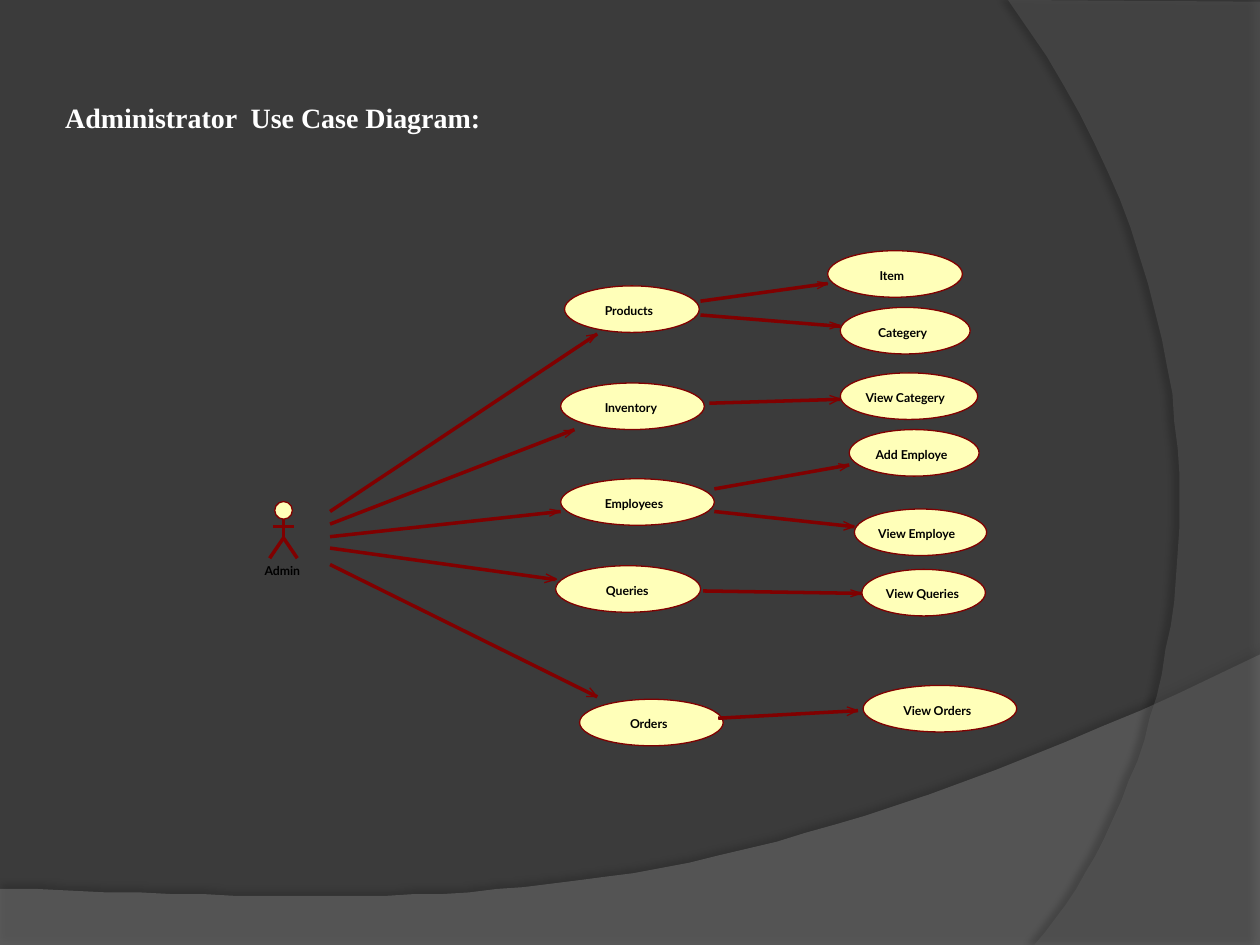
"""Build the administrator use case diagram slide."""
from math import atan2, cos, sin

from lxml.etree import SubElement
from pptx import Presentation
from pptx.dml.color import RGBColor
from pptx.enum.shapes import MSO_CONNECTOR, MSO_SHAPE
from pptx.enum.text import MSO_ANCHOR, MSO_AUTO_SIZE
from pptx.oxml.ns import qn
from pptx.util import Pt

BACKGROUND = RGBColor(0x3B, 0x3B, 0x3B)
WAVE_GREY = RGBColor(0x7F, 0x7F, 0x7F)
SIDE_GREY = RGBColor(0x5E, 0x5E, 0x5E)
CREAM = RGBColor(0xFF, 0xFF, 0xB9)
MAROON = RGBColor(0x80, 0x00, 0x00)
BLACK = RGBColor(0x00, 0x00, 0x00)
WHITE = RGBColor(0xFF, 0xFF, 0xFF)
CASE_HEIGHT = 26.6
LABEL_OFFSET = 9.9
LABEL_HEIGHT = 19.4
HEAD_LENGTH = 6.2
HEAD_HALF_WIDTH = 2.3
CURVE_STEPS = 40

presentation = Presentation()
presentation.slide_width = Pt(720)
presentation.slide_height = Pt(540)
slide = presentation.slides.add_slide(presentation.slide_layouts[6])
slide.background.fill.solid()
slide.background.fill.fore_color.rgb = BACKGROUND
shapes = slide.shapes


def add_text(text, left, top, width, height, size, font_name, color, insets=(0, 0)):
    box = shapes.add_textbox(Pt(left), Pt(top), Pt(width), Pt(height))
    frame = box.text_frame
    frame.word_wrap = False
    frame.auto_size = MSO_AUTO_SIZE.NONE
    frame.margin_left = frame.margin_right = Pt(insets[0])
    frame.margin_top = frame.margin_bottom = Pt(insets[1])
    run = frame.paragraphs[0].add_run()
    run.text = text
    run.font.name = font_name
    run.font.size = Pt(size)
    run.font.bold = True
    run.font.color.rgb = color
    return frame


def add_line(start_x, start_y, end_x, end_y):
    line = shapes.add_connector(
        MSO_CONNECTOR.STRAIGHT, Pt(start_x), Pt(start_y), Pt(end_x), Pt(end_y))
    line.line.color.rgb = MAROON
    line.line.width = Pt(0)
    SubElement(line.element.spPr, qn("a:effectLst"))


# corners, then the curve that closes the outline
swooshes = [
    ([(0, 507.6), (0, 540), (720, 540)],
     [(720, 374.4), (402.5, 524.9), (281.5, 517.7), (0, 507.6)],
     WAVE_GREY, 45, 35, 3.5, 270),
    ([(720, 1.4), (720, 540)],
     [(591.1, 540), (673.2, 445.7), (733, 216), (576, 0)],
     SIDE_GREY, 40, 45, 4, 180),
]
for corners, curve, color, opacity, shadow_opacity, distance, angle in swooshes:
    points = list(corners)
    for step in range(CURVE_STEPS + 1):
        t = step / CURVE_STEPS
        weights = ((1 - t) ** 3, 3 * t * (1 - t) ** 2, 3 * t ** 2 * (1 - t), t ** 3)
        points.append(tuple(
            sum(weight * point[axis] for weight, point in zip(weights, curve))
            for axis in (0, 1)))
    builder = shapes.build_freeform(*points[0], scale=Pt(1))
    builder.add_line_segments(points[1:], close=True)
    swoosh = builder.convert_to_shape()
    swoosh.fill.solid()
    swoosh.fill.fore_color.rgb = color
    swoosh.line.fill.background()
    swoosh.shadow.inherit = False
    properties = swoosh.element.spPr
    fill_color = properties.find(qn("a:solidFill")).find(qn("a:srgbClr"))
    SubElement(fill_color, qn("a:alpha"), val=str(opacity * 1000))
    shadow = SubElement(
        properties.find(qn("a:effectLst")), qn("a:outerShdw"), blurRad=str(Pt(4)),
        dist=str(Pt(distance)), dir=str(angle * 60000), algn="ctr", rotWithShape="0")
    shadow_color = SubElement(shadow, qn("a:srgbClr"), val=str(BLACK))
    SubElement(shadow_color, qn("a:alpha"), val=str(shadow_opacity * 1000))

title = add_text("Administrator  Use Case Diagram:", 30.2, 54, 254.9, 26.6,
                 16, "Times New Roman", WHITE, insets=(7.2, 3.6))
title.vertical_anchor = MSO_ANCHOR.MIDDLE

use_cases = [
    ("Products", 322.6, 163.4, 77, 345.6, 31.7),
    ("Inventory", 320.4, 218.9, 82.1, 345.6, 33.8),
    ("Employees", 320.4, 273.6, 87.8, 345.6, 38.2),
    ("Queries", 317.5, 323.3, 82.8, 346.3, 25.9),
    ("Orders", 331.2, 399.6, 82.1, 360, 23),
    ("Item", 473, 143.3, 77, 502.6, 16.6),
    ("Categery", 480.2, 175.7, 74.2, 501.8, 30.2),
    ("View Categery", 480.2, 213.1, 78.5, 494.6, 49),
    ("Add Employe", 485.3, 245.5, 74.2, 500.4, 45.4),
    ("View Employe", 488.2, 290.9, 75.6, 501.8, 49),
    ("View Queries", 492.5, 325.4, 70.6, 506.2, 44.6),
    ("View Orders", 493.2, 391.7, 87.8, 516.2, 41.8),
]
actor_head = (157, 286.6, 10.1, 10.1)
ovals = [actor_head] + [
    (left, top, width, CASE_HEIGHT) for _, left, top, width, _, _ in use_cases]
for bounds in ovals:
    oval = shapes.add_shape(MSO_SHAPE.OVAL, *map(Pt, bounds))
    oval.shadow.inherit = False
    oval.fill.solid()
    oval.fill.fore_color.rgb = CREAM
    oval.line.color.rgb = MAROON
    oval.line.width = Pt(0)

labels = [("Admin", 151.2, 321.8, 22.3)] + [
    (name, label_left, top + LABEL_OFFSET, label_width)
    for name, _, top, _, label_left, label_width in use_cases]
for name, left, top, width in labels:
    add_text(name, left, top, width, LABEL_HEIGHT, 7, "Lato", BLACK)

actor_limbs = [
    (162, 296.6, 162, 307.4),
    (156.2, 301, 167.8, 301),
    (162, 307.4, 154.1, 319),
    (162, 307.4, 169.9, 319),
]
for limb in actor_limbs:
    add_line(*limb)

arrows = [
    (188.6, 292.3, 341.3, 190.8),
    (188.6, 299.5, 328.3, 245.5),
    (188.6, 306.7, 320.4, 292.3),
    (188.6, 313.2, 317.5, 331.2),
    (188.6, 322.6, 341.3, 398.2),
    (400.3, 172.1, 473, 162),
    (400.3, 180, 480.2, 186.5),
    (405.4, 230.4, 480.2, 228.2),
    (408.2, 279.4, 485.3, 265.7),
    (408.2, 292.3, 488.2, 301),
    (401.8, 337.7, 492.5, 339.1),
    (410.4, 410.4, 490.3, 406.1),
]
for start_x, start_y, end_x, end_y in arrows:
    add_line(start_x, start_y, end_x, end_y)
    angle = atan2(end_y - start_y, end_x - start_x)
    first_wing, second_wing = [
        (end_x - HEAD_LENGTH * cos(angle) - side * sin(angle),
         end_y - HEAD_LENGTH * sin(angle) + side * cos(angle))
        for side in (HEAD_HALF_WIDTH, -HEAD_HALF_WIDTH)]
    builder = shapes.build_freeform(*first_wing, scale=Pt(1))
    builder.add_line_segments([(end_x, end_y), second_wing], close=False)
    arrowhead = builder.convert_to_shape()
    arrowhead.shadow.inherit = False
    arrowhead.fill.background()
    arrowhead.line.color.rgb = MAROON
    arrowhead.line.width = Pt(0)

presentation.save("out.pptx")
